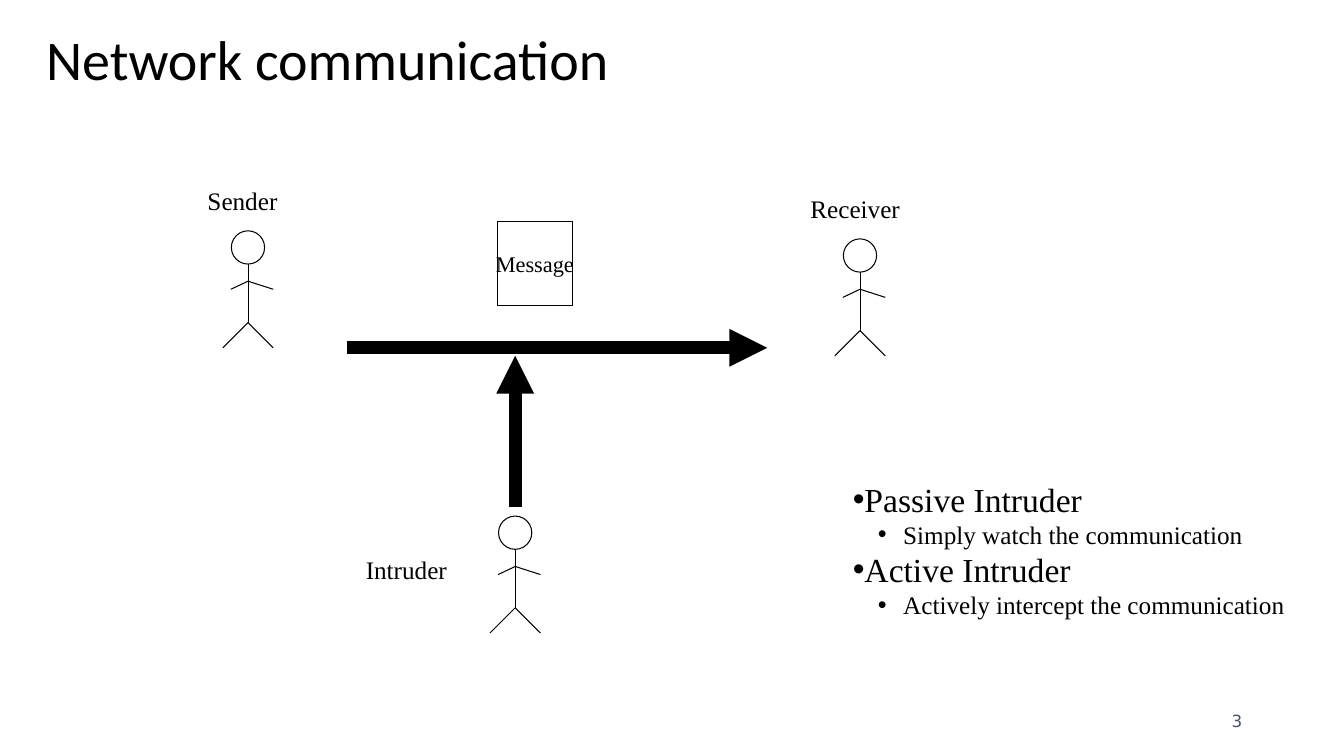
from dataclasses import dataclass
from typing import Any, NamedTuple

from lxml import etree
from pptx import Presentation
from pptx import util as u
from pptx.dml.color import RGBColor
from pptx.enum import shapes, text
from pptx.oxml import ns


@dataclass(frozen=True)
class Theme:
    ink: RGBColor = RGBColor(0x00, 0x00, 0x00)
    number: RGBColor = RGBColor(0x44, 0x54, 0x6A)
    serif: str = "Times New Roman"
    title_font: str = "Calibri"
    number_font: str = "DejaVu Sans"
    title: float = 40
    heading: float = 24
    label: float = 18
    message: float = 16
    page: float = 12
    thin: float = 0.75
    thick: float = 9


THEME = Theme()


class Box(NamedTuple):
    left: float
    top: float
    width: float
    height: float

    def emu(self) -> list[int]:
        return [u.Inches(v) for v in self]


class Point(NamedTuple):
    x: float
    y: float


@dataclass(frozen=True)
class Person:
    name: str
    neck: Point
    label: Box


@dataclass(frozen=True)
class Arrow:
    start: Point
    end: Point


@dataclass(frozen=True)
class Bullet:
    words: str
    level: int
    size: float
    margin: float
    indent: float


PEOPLE = [
    Person("Sender", Point(2.46, 2.62), Box(1.96, 1.79, 1, 0.4)),
    Person("Receiver", Point(8.53, 2.7), Box(7.94, 1.87, 1.17, 0.4)),
    Person("Intruder", Point(5.11, 5.45), Box(3.53, 5.45, 1.17, 0.4)),
]
HEAD = 0.33
SHOULDER, HIP = Point(0, 0.17), Point(0, 0.58)
LIMBS = [
    (Point(0, 0), HIP),
    (SHOULDER, Point(0.25, 0.25)),
    (HIP, Point(0.25, 0.83)),
    (SHOULDER, Point(-0.17, 0.25)),
    (HIP, Point(-0.25, 0.83)),
]
ARROWS = [
    Arrow(Point(3.44, 3.45), Point(7.61, 3.45)),
    Arrow(Point(5.11, 5.03), Point(5.11, 3.53)),
]
BULLETS = [
    Bullet("Passive Intruder", 0, THEME.heading, 0, 0),
    Bullet("Simply watch the communication", 1, THEME.label, 0.5, -0.25),
    Bullet("Active Intruder", 0, THEME.heading, 0, 0),
    Bullet("Actively intercept the communication", 1, THEME.label, 0.5, -0.25),
]


def apply(target: Any, values: dict[str, Any]) -> None:
    for name, value in values.items():
        setattr(target, name, value)


def write(p: Any, words: str, size: float, font: str = THEME.serif,
          color: RGBColor = THEME.ink) -> None:
    r = p.add_run()
    r.text = words
    apply(r.font, {"size": u.Pt(size), "name": font})
    r.font.color.rgb = color


def add_text(parent: Any, box: Box, **frame: Any) -> Any:
    tf = parent.add_textbox(*box.emu()).text_frame
    apply(tf, {"word_wrap": True, **frame})
    return tf


def add_outline(parent: Any, kind: Any, box: Box) -> Any:
    sp = parent.add_shape(kind, *box.emu())
    sp.shadow.inherit = False
    sp.fill.background()
    sp.line.color.rgb = THEME.ink
    sp.line.width = u.Pt(THEME.thin)
    return sp


def add_line(parent: Any, start: Point, end: Point, width: float,
             arrow: bool = False) -> None:
    ends = [u.Inches(v) for v in (*start, *end)]
    sp = parent.add_connector(shapes.MSO_CONNECTOR.STRAIGHT, *ends)
    sp.line.color.rgb = THEME.ink
    sp.line.width = u.Pt(width)
    if arrow:
        ln = sp.line._get_or_add_ln()
        etree.SubElement(ln, ns.qn("a:tailEnd"), type="triangle")
    etree.SubElement(sp._element.spPr, ns.qn("a:effectLst"))


def add_person(parent: Any, person: Person) -> None:
    group = parent.add_group_shape().shapes
    x, y = person.neck
    add_outline(group, shapes.MSO_SHAPE.OVAL,
                Box(x - HEAD / 2, y - HEAD, HEAD, HEAD))
    for a, b in LIMBS:
        add_line(group, Point(x + a.x, y + a.y), Point(x + b.x, y + b.y),
                 THEME.thin)
    tf = add_text(group, person.label)
    write(tf.paragraphs[0], person.name, THEME.label)


def add_bullets(parent: Any, box: Box, bullets: list[Bullet]) -> None:
    tf = add_text(parent, box)
    for i, bullet in enumerate(bullets):
        p = tf.add_paragraph() if i else tf.paragraphs[0]
        p.level = bullet.level
        pPr = p._p.get_or_add_pPr()
        pPr.set("marL", str(u.Inches(bullet.margin)))
        pPr.set("indent", str(u.Inches(bullet.indent)))
        etree.SubElement(pPr, ns.qn("a:buFont"), typeface="Arial")
        etree.SubElement(pPr, ns.qn("a:buChar"), char="•")
        write(p, bullet.words, bullet.size)


def main() -> None:
    prs = Presentation()
    apply(prs, {"slide_width": u.Inches(13.33), "slide_height": u.Inches(7.5)})
    s = prs.slides.add_slide(prs.slide_layouts[6]).shapes
    middle = text.MSO_ANCHOR.MIDDLE

    tf = add_text(s, Box(0.36, 0.24, 9, 0.75), vertical_anchor=middle)
    p = tf.paragraphs[0]
    p.line_spacing = 0.9
    write(p, "Network communication", THEME.title, THEME.title_font)

    for person in PEOPLE:
        add_person(s, person)

    sp = add_outline(s, shapes.MSO_SHAPE.RECTANGLE, Box(4.93, 2.2, 0.75, 0.83))
    tf = sp.text_frame
    apply(tf, {"word_wrap": False, "vertical_anchor": middle})
    p = tf.paragraphs[0]
    p.alignment = text.PP_ALIGN.CENTER
    write(p, "Message", THEME.message)

    for arrow in ARROWS:
        add_line(s, arrow.start, arrow.end, THEME.thick, arrow=True)

    add_bullets(s, Box(8.36, 4.7, 4.67, 1.5), BULLETS)

    tf = add_text(s, Box(9.42, 6.95, 3, 0.4), vertical_anchor=middle)
    p = tf.paragraphs[0]
    p.alignment = text.PP_ALIGN.RIGHT
    write(p, "3", THEME.page, THEME.number_font, THEME.number)

    prs.save("out.pptx")


if __name__ == "__main__":
    main()
